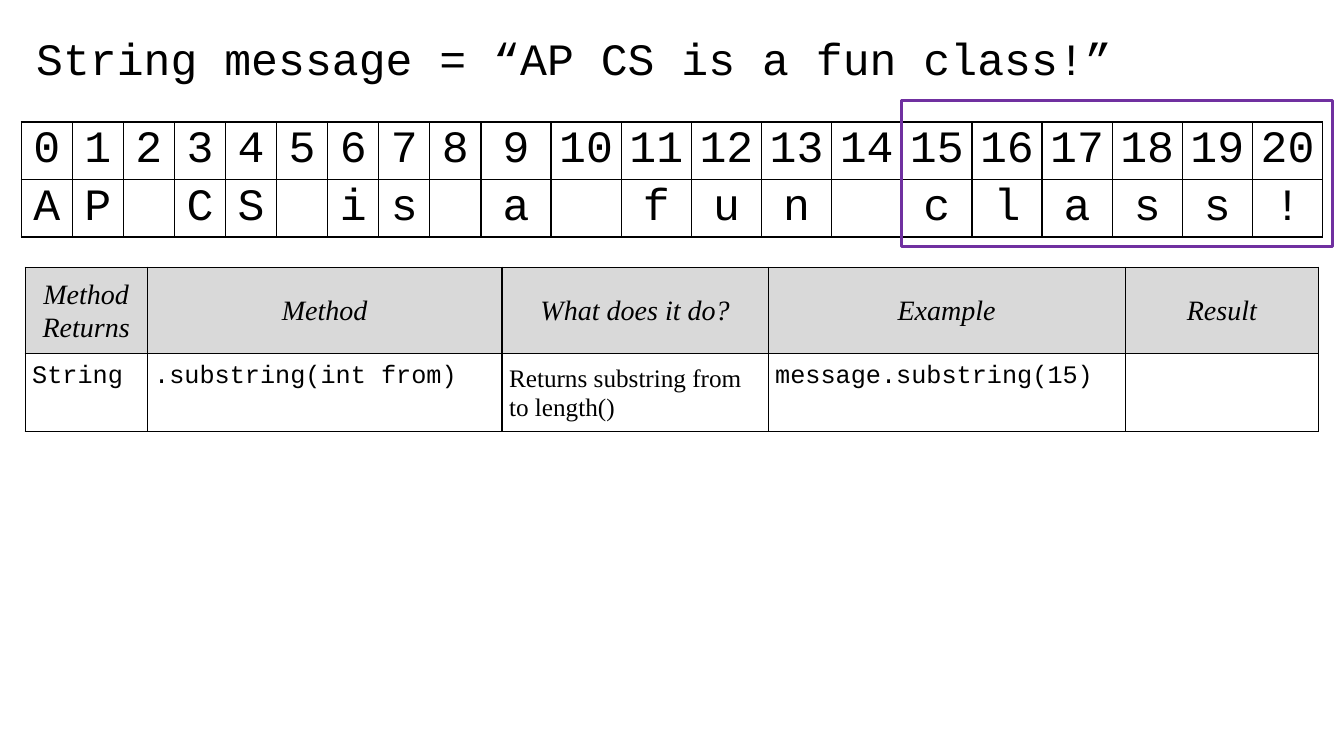
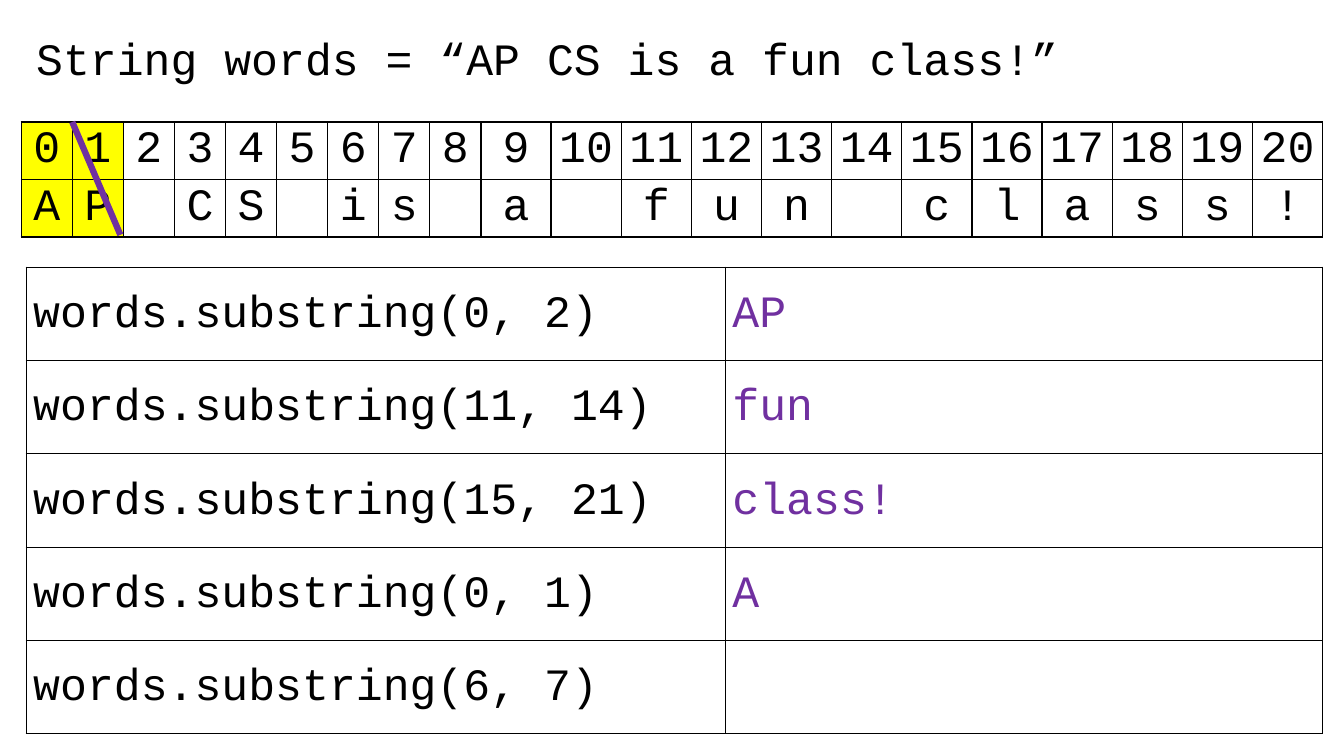
"""Build two slides about substring indexes."""
from dataclasses import dataclass, replace
from typing import Optional

from lxml import etree
from pptx import Presentation
from pptx.dml.color import RGBColor
from pptx.enum.shapes import MSO_CONNECTOR as CONN, MSO_SHAPE as SHAPE
from pptx.enum.text import MSO_ANCHOR as ANCHOR, MSO_AUTO_SIZE as AUTO, PP_ALIGN as ALIGN
from pptx.oxml import parse_xml
from pptx.oxml.ns import nsdecls, qn
from pptx.util import Inches, Pt

BLACK = RGBColor(0x00, 0x00, 0x00)
PURPLE = RGBColor(0x70, 0x30, 0xA0)
YELLOW = RGBColor(0xFF, 0xFF, 0x00)
GREY = RGBColor(0xD9, 0xD9, 0xD9)
CODE, SERIF = "Courier New", "Times New Roman"
LINE_SPACING = 1.07

PHRASE = "AP CS is a fun class!"
STRIP_LEFT, STRIP_TOP, STRIP_WIDTH, STRIP_ROW = 0.21, 1.21, 12.91, 0.57
STRIP_WEIGHTS = [0.51] * 9 + [0.7] * 12
LOWER_TOP = 2.65


@dataclass(frozen=True)
class Style:
    font: str = CODE
    size: int = 32
    color: RGBColor = BLACK
    italic: bool = False
    align: ALIGN = ALIGN.LEFT
    anchor: ANCHOR = ANCHOR.TOP
    pad: float = 0
    after: int = 0
    fill: Optional[RGBColor] = None


TITLE = Style()
LETTER = Style(align=ALIGN.CENTER)
HEADER = Style(SERIF, 20, italic=True, align=ALIGN.CENTER, anchor=ANCHOR.MIDDLE, pad=0.07, fill=GREY)
SNIPPET = Style(size=18, pad=0.07)
NOTE = replace(SNIPPET, font=SERIF, anchor=ANCHOR.MIDDLE)
CALL = Style(anchor=ANCHOR.MIDDLE, after=8)
ANSWER = replace(CALL, color=PURPLE)


def write(tf, text, style):
    tf.text = text
    p = tf.paragraphs[0]
    p.alignment = style.align
    p.line_spacing = LINE_SPACING
    p.space_after = Pt(style.after)
    for r in p.runs:
        r.font.name = style.font
        r.font.size = Pt(style.size)
        r.font.italic = style.italic
        r.font.color.rgb = style.color


def add_title(slide, text):
    tf = slide.shapes.add_textbox(Inches(0.26), Inches(0.22), Inches(10.98), Inches(0.67)).text_frame
    tf.word_wrap = True
    tf.auto_size = AUTO.SHAPE_TO_FIT_TEXT
    write(tf, text, TITLE)


def add_borders(cell):
    tc_pr = cell._tc.get_or_add_tcPr()
    for side in ("lnL", "lnR", "lnT", "lnB"):
        tc_pr.append(parse_xml(
            f'<a:{side} {nsdecls("a")} w="{Pt(1)}"><a:solidFill>'
            f'<a:srgbClr val="{BLACK}"/></a:solidFill></a:{side}>'))


def fill_cell(cell, text, style):
    cell.margin_left = cell.margin_right = Inches(0.07)
    cell.margin_top = cell.margin_bottom = Inches(style.pad)
    cell.vertical_anchor = style.anchor
    write(cell.text_frame, text, style)
    add_borders(cell)
    if style.fill is None:
        cell.fill.background()
    else:
        cell.fill.solid()
        cell.fill.fore_color.rgb = style.fill


def add_grid(slide, left, top, width, weights, heights, rows):
    table = slide.shapes.add_table(len(rows), len(weights), Inches(left), Inches(top),
                                   Inches(width), Inches(sum(heights))).table
    table.first_row = table.horz_banding = False
    for column, weight in zip(table.columns, weights):
        column.width = Inches(width * weight / sum(weights))
    for row, height, content in zip(table.rows, heights, rows):
        row.height = Inches(height)
        for cell, (text, style) in zip(row.cells, content):
            fill_cell(cell, text, style)


def strip_edge(index):
    return STRIP_LEFT + STRIP_WIDTH * sum(STRIP_WEIGHTS[:index]) / sum(STRIP_WEIGHTS)


def add_strip(slide, marked=()):
    styles = [replace(LETTER, fill=YELLOW) if i in marked else LETTER for i in range(len(PHRASE))]
    numbers = [str(i) for i in range(len(PHRASE))]
    letters = [letter.strip() for letter in PHRASE]
    rows = [list(zip(texts, styles)) for texts in (numbers, letters)]
    add_grid(slide, STRIP_LEFT, STRIP_TOP, STRIP_WIDTH, STRIP_WEIGHTS, [STRIP_ROW] * 2, rows)


def add_frame(slide, first):
    left = strip_edge(first)
    sp = slide.shapes.add_shape(SHAPE.RECTANGLE, Inches(left), Inches(1),
                                Inches(strip_edge(len(PHRASE)) + 0.1 - left), Inches(1.45))
    sp.shadow.inherit = False
    sp.fill.background()
    sp.line.color.rgb = PURPLE
    sp.line.width = Pt(2.25)


def add_slash(slide, index):
    line = slide.shapes.add_connector(CONN.STRAIGHT, Inches(strip_edge(index)), Inches(STRIP_TOP),
                                      Inches(strip_edge(index + 1) - 0.03), Inches(2.33))
    line.line.color.rgb = PURPLE
    line.line.width = Pt(4.5)
    etree.SubElement(line._element.spPr, qn("a:effectLst"))


def build_method_slide(slide):
    add_title(slide, f"String message = “{PHRASE}”")
    headers = ["Method Returns", "Method", "What does it do?", "Example", "Result"]
    rows = [[(text, HEADER) for text in headers],
            [("String", SNIPPET), (".substring(int from)", SNIPPET),
             ("Returns substring from to length()", NOTE),
             ("message.substring(15)", SNIPPET), ("", SNIPPET)]]
    add_grid(slide, 0.25, LOWER_TOP, 12.83, [1.21, 3.52, 2.64, 3.54, 1.92], [0.85, 0.78], rows)
    add_strip(slide)
    add_frame(slide, PHRASE.index("class"))


def build_practice_slide(slide):
    add_title(slide, f"String words = “{PHRASE}”")
    add_strip(slide, marked=(0, 1))
    answers = [("0, 2", "AP"), ("11, 14", "fun"), ("15, 21", "class!"), ("0, 1", "A"), ("6, 7", "")]
    rows = [[(f"words.substring({span})", CALL), (answer, ANSWER)] for span, answer in answers]
    add_grid(slide, 0.26, LOWER_TOP, 12.86, [6.93, 5.92], [4.63 / len(rows)] * len(rows), rows)
    add_slash(slide, 1)


def main():
    prs = Presentation()
    prs.slide_width, prs.slide_height = Inches(13.33), Inches(7.5)
    for build in (build_method_slide, build_practice_slide):
        build(prs.slides.add_slide(prs.slide_layouts[6]))
    prs.save("out.pptx")


if __name__ == "__main__":
    main()
